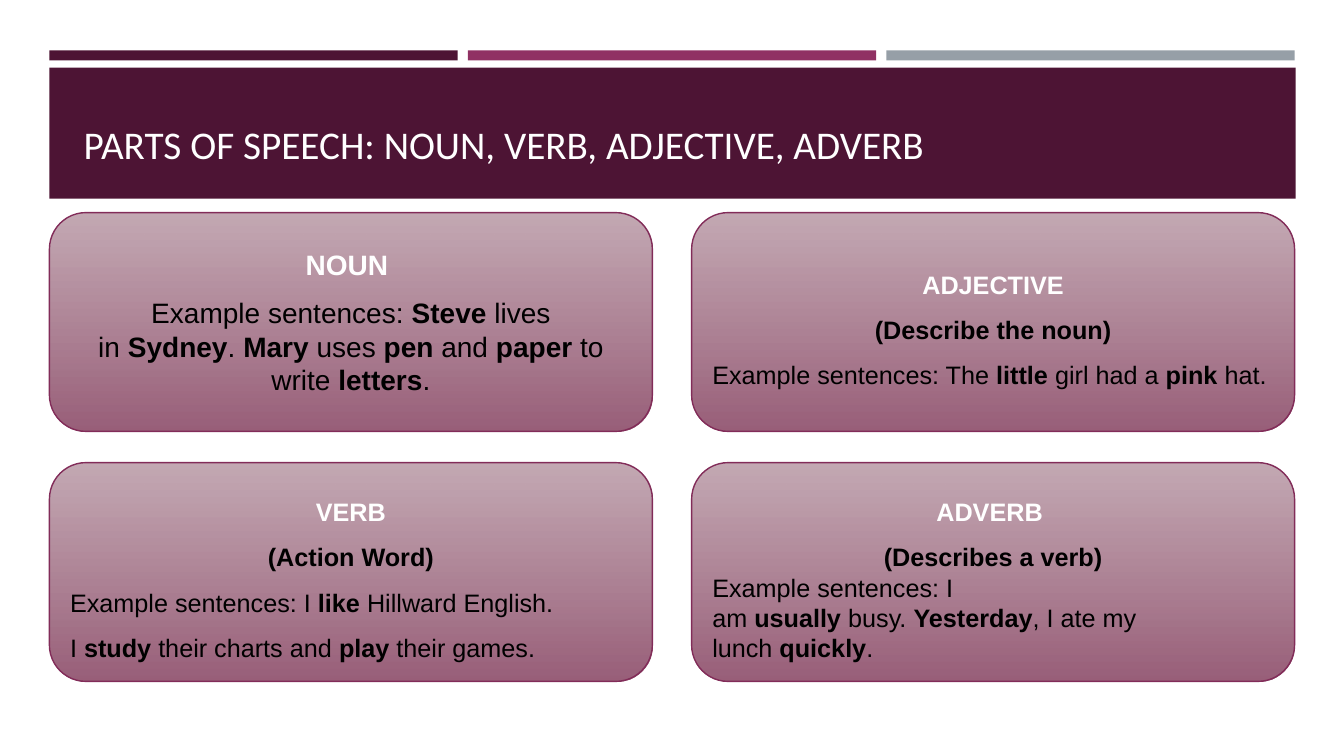
from dataclasses import dataclass

from lxml import etree
from pptx import Presentation
from pptx import util as u
from pptx.dml.color import RGBColor
from pptx.enum import shapes, text
from pptx.oxml.ns import qn

HUES = {
    "plum": "4D1434",
    "berry": "903163",
    "gray": "969FA7",
    "edge": "822C59",
    "pale": "BD9FAB",
    "deep": "995F79",
    "white": "FFFFFF",
    "black": "000000",
}
MID = text.PP_ALIGN.CENTER
LEFT = text.PP_ALIGN.LEFT
BOLD = "*"
GLUE = "~"
HARD = chr(160)


@dataclass
class Line:
    words: str
    hue: str = "black"
    align: text.PP_ALIGN = LEFT
    lead: float = 1.5
    above: float = 0
    below: float = 0


@dataclass
class Card:
    col: int
    row: int
    size: int
    lines: list[Line]


CARDS = [
    Card(0, 0, 20, [
        Line("*NOUN *", "white", MID, 1, 4, 6),
        Line("Example sentences:~*Steve*~lives in~*Sydney*.~*Mary*~uses~*pen*~and~*paper*~to write~*letters*.",
             "black", MID, 1, 4, 6),
    ]),
    Card(0, 1, 18, [
        Line("*VERB*", "white", MID),
        Line("*(Action Word)*", align=MID),
        Line("Example sentences: I~*like*~Hillward English. I~*study*~their charts and~*play*~their games."),
    ]),
    Card(1, 1, 18, [
        Line("*ADVERB *", "white", MID),
        Line("*(Describes a verb)*", align=MID),
        Line("Example sentences: I am~*usually*~busy.~*Yesterday*, I ate my lunch~*quickly*.", lead=1),
    ]),
    Card(1, 0, 18, [
        Line("*ADJECTIVE*", "white", MID),
        Line("*(Describe the noun)*", align=MID),
        Line("Example sentences: The~*little*~girl had a~*pink*~hat."),
    ]),
]


def tone(name: str) -> RGBColor:
    return RGBColor.from_string(HUES[name])


def add_box(slide, kind, left: float, top: float, width: float, height: float):
    box = slide.shapes.add_shape(kind, *map(u.Inches, (left, top, width, height)))
    box.shadow.inherit = False
    return box


def add_bar(slide, left: float, top: float, width: float, height: float, hue: str) -> None:
    bar = add_box(slide, shapes.MSO_SHAPE.RECTANGLE, left, top, width, height)
    bar.fill.solid()
    bar.fill.fore_color.rgb = tone(hue)
    bar.line.fill.background()
    slide.shapes.title.element.addprevious(bar.element)


def add_run(para, words: str, face: str, size: int, hue: str, bold: bool) -> None:
    run = para.add_run()
    run.text = words
    run.font.name = face
    run.font.size = u.Pt(size)
    run.font.bold = bold
    run.font.color.rgb = tone(hue)


def add_line(para, line: Line, size: int) -> None:
    para.alignment = line.align
    para.line_spacing = line.lead
    para.space_before = u.Pt(line.above)
    para.space_after = u.Pt(line.below)
    for spot, part in enumerate(line.words.replace(GLUE, HARD).split(BOLD)):
        if part:
            add_run(para, part, "Arial", size, line.hue, spot % 2 == 1)


def add_card(slide, card: Card) -> None:
    box = add_box(slide, shapes.MSO_SHAPE.ROUNDED_RECTANGLE,
                  0.49 + 6.37 * card.col, 2.11 + 2.48 * card.row, 5.98, 2.17)
    box.line.color.rgb = tone("edge")
    box.line.width = u.Pt(1)
    box.fill.gradient()
    box.fill.gradient_angle = 270
    for stop, hue in zip(box.fill.gradient_stops, ("pale", "deep")):
        stop.color.rgb = tone(hue)
    first = next(box.element.iter(qn("a:srgbClr")))
    etree.SubElement(first, qn("a:alpha"), val="90000")
    frame = box.text_frame
    frame.word_wrap = True
    frame.vertical_anchor = text.MSO_ANCHOR.MIDDLE
    for spot, line in enumerate(card.lines):
        para = frame.add_paragraph() if spot else frame.paragraphs[0]
        add_line(para, line, card.size)


def set_title(slide, words: str) -> None:
    head = slide.shapes.title
    head.left, head.top, head.width, head.height = map(u.Inches, (0.64, 1.07, 12.06, 1.11))
    frame = head.text_frame
    frame.auto_size = text.MSO_AUTO_SIZE.NONE
    frame.word_wrap = True
    frame.vertical_anchor = text.MSO_ANCHOR.BOTTOM
    frame.margin_left = u.Inches(0.19)
    frame.margin_bottom = u.Inches(0.52)
    para = frame.paragraphs[0]
    para.alignment = LEFT
    add_run(para, words, "Calibri", 28, "white", False)


def main() -> None:
    deck = Presentation()
    deck.slide_width = u.Inches(13.33)
    deck.slide_height = u.Inches(7.5)
    slide = deck.slides.add_slide(deck.slide_layouts[5])
    for spot, hue in enumerate(("plum", "berry", "gray")):
        add_bar(slide, 0.49 + 4.15 * spot, 0.5, 4.05, 0.1, hue)
    add_bar(slide, 0.49, 0.67, 12.36, 1.3, "plum")
    set_title(slide, "PARTS OF SPEECH: NOUN, VERB, ADJECTIVE, ADVERB")
    for card in CARDS:
        add_card(slide, card)
    deck.save("out.pptx")


if __name__ == "__main__":
    main()
